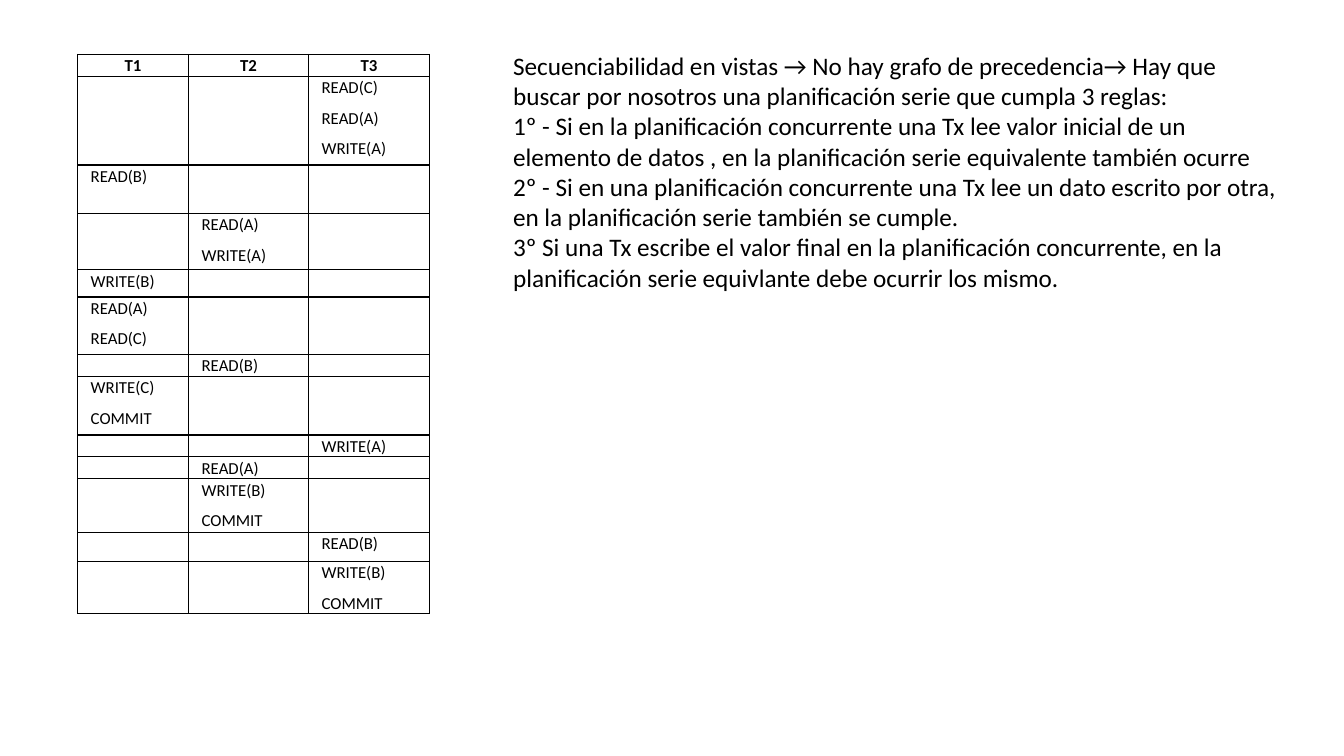
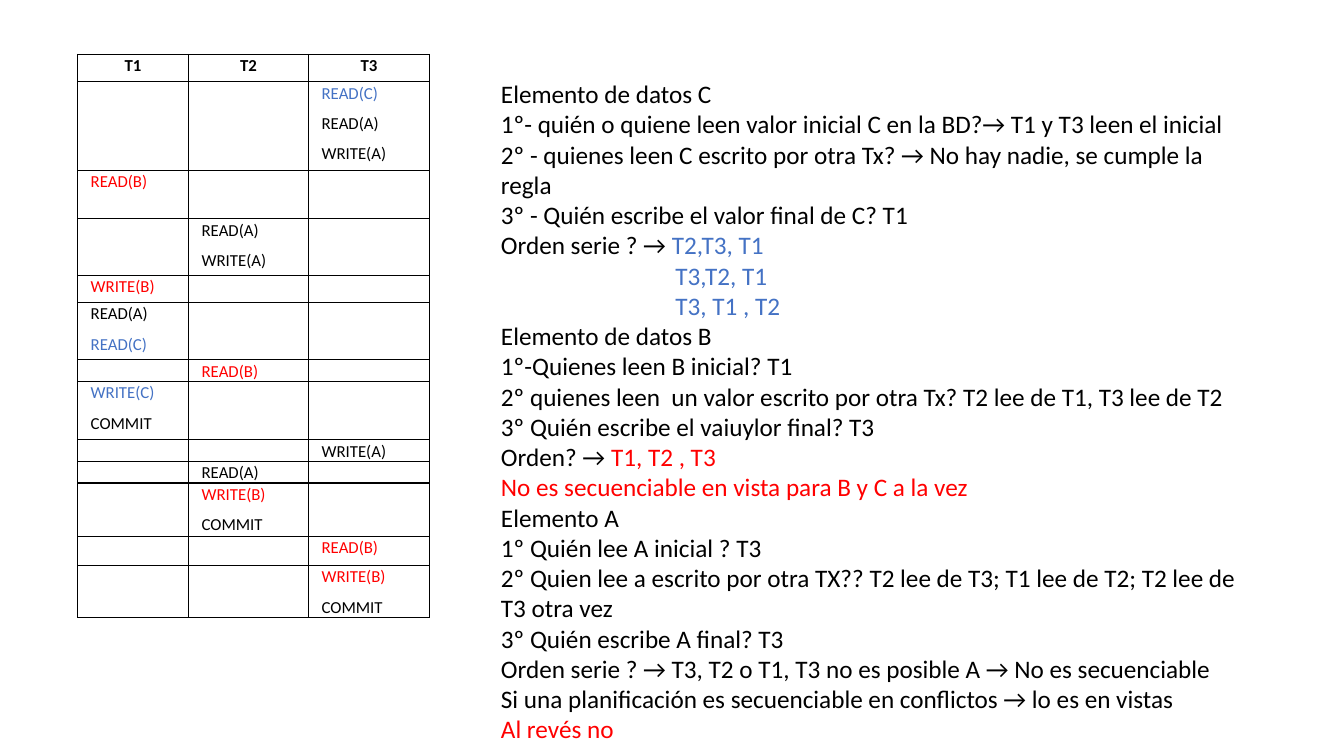
import pptx
import pptx.util
import pptx.dml.color
import pptx.enum.text
import pptx.oxml.ns
import lxml.etree

PX = 9144
FONT = "Calibri"
HUES = {"ink": "000000", "blue": "4472C4", "red": "FF0000"}
MARKS = {"(B)": "red", "(C)": "blue"}
ALIGN = pptx.enum.text.PP_ALIGN

HEADS = ["T1", "T2", "T3"]
COLS = [110, 119, 120]
STEPS = [
    ("T3", ["READ(C)", "READ(A)", "WRITE(A)"], 88),
    ("T1", ["READ(B)"], 48),
    ("T2", ["READ(A)", "WRITE(A)"], 56),
    ("T1", ["WRITE(B)"], 27),
    ("T1", ["READ(A)", "READ(C)"], 57),
    ("T2", ["READ(B)"], 20),
    ("T1", ["WRITE(C)", "COMMIT"], 58),
    ("T3", ["WRITE(A)"], 20),
    ("T2", ["READ(A)"], 20),
    ("T2", ["WRITE(B)", "COMMIT"], 53),
    ("T3", ["READ(B)"], 29),
    ("T3", ["WRITE(B)", "COMMIT"], 49),
]

RULES = [
    [("Secuenciabilidad en vistas → No hay grafo de precedencia→ Hay que buscar por nosotros una planificación serie que cumpla 3 reglas:", "ink")],
    [("1º - Si en la planificación concurrente una Tx lee valor inicial de un elemento de datos , en la planificación serie equivalente también ocurre", "ink")],
    [("2º - Si en una planificación concurrente una Tx lee un dato escrito por otra, en la planificación serie también se cumple.", "ink")],
    [("3º Si una Tx escribe el valor final en la planificación concurrente, en la planificación serie equivlante debe ocurrir los mismo.", "ink")],
]
CHECKS = [
    [("Elemento de datos C", "ink")],
    [("1º- quién o quiene leen valor inicial C en la BD?→ T1 y T3 leen el inicial", "ink")],
    [("2º - quienes leen C escrito por otra Tx? → No hay nadie, se cumple la regla", "ink")],
    [("3º - Quién escribe el valor final de C? T1", "ink")],
    [("Orden serie ? → ", "ink"), ("T2,T3, T1", "blue")],
    [("T3,T2, T1", "blue")],
    [("T3, T1 , T2", "blue")],
    [("Elemento de datos B", "ink")],
    [("1º-Quienes leen B inicial? T1", "ink")],
    [("2º quienes leen  un valor escrito por otra Tx? T2 lee de T1, T3 lee de T2", "ink")],
    [("3º Quién escribe el vaiuylor final? T3", "ink")],
    [("Orden? → ", "ink"), ("T1, T2 , T3", "red")],
    [("No es secuenciable en vista para B y C a la vez", "red")],
    [("Elemento A", "ink")],
    [("1º Quién lee A inicial ? T3", "ink")],
    [("2º Quien lee a escrito por otra TX?? T2 lee de T3; T1 lee de T2; T2 lee de T3 otra vez", "ink")],
    [("3º Quién escribe A final? T3", "ink")],
    [("Orden serie ? → T3, T2 o T1, T3 no es posible A → No es secuenciable", "ink")],
    [("Si una planificación es secuenciable en conflictos → lo es en vistas", "ink")],
    [("Al revés no", "red")],
]
SLIDES = [
    {"head": 20, "marks": {}, "lines": RULES, "box": (499, 45, 789, 283)},
    {"head": 27, "marks": MARKS, "lines": CHECKS, "box": (487, 73, 769, 667)},
]
INDENT = 173


def write(frame, lines, size=18, bold=False, align=None, space=None, lead=None):
    for num, line in enumerate(lines):
        para = frame.add_paragraph() if num else frame.paragraphs[0]
        para.alignment = align
        para.line_spacing = lead
        if space is not None:
            para.space_before = para.space_after = pptx.util.Pt(space)
        if line[0][1] == "blue" and size == 18:
            para._p.get_or_add_pPr().set("marL", str(INDENT * PX))
        for text, hue in line:
            run = para.add_run()
            run.text = text
            run.font.name = FONT
            run.font.size = pptx.util.Pt(size)
            run.font.bold = bold
            run.font.color.rgb = pptx.dml.color.RGBColor.from_string(HUES[hue])


def border(cell):
    props = cell._tc.get_or_add_tcPr()
    name = pptx.oxml.ns.qn
    for side in ("a:lnL", "a:lnR", "a:lnT", "a:lnB"):
        edge = lxml.etree.SubElement(props, name(side), w="12700")
        fill = lxml.etree.SubElement(edge, name("a:solidFill"))
        lxml.etree.SubElement(fill, name("a:srgbClr"), val=HUES["ink"])


def fill_cell(cell, lines, **form):
    border(cell)
    cell.fill.background()
    cell.margin_left = cell.margin_right = 13 * PX
    cell.margin_top = cell.margin_bottom = 0
    if lines:
        write(cell.text_frame, lines, size=12, space=3, lead=1.07, **form)
    else:
        para = cell.text_frame.paragraphs[0]
        para._p.get_or_add_endParaRPr().set("sz", "1200")


def add_plan(slide, head, marks):
    highs = [head] + [step[2] for step in STEPS]
    grid = slide.shapes.add_table(
        len(highs), len(COLS), 77 * PX, 54 * PX, sum(COLS) * PX, sum(highs) * PX
    ).table
    grid.first_row = grid.horz_banding = False
    for col, wide in zip(grid.columns, COLS):
        col.width = wide * PX
    for row, high in zip(grid.rows, highs):
        row.height = high * PX
    for col, name in enumerate(HEADS):
        fill_cell(grid.cell(0, col), [[(name, "ink")]], bold=True, align=ALIGN.CENTER)
        for row, (owner, acts, high) in enumerate(STEPS, 1):
            lines = [[(act, marks.get(act[-3:], "ink"))] for act in acts]
            fill_cell(grid.cell(row, col), lines if owner == name else [], align=ALIGN.JUSTIFY)


def main():
    deck = pptx.Presentation()
    deck.slide_width, deck.slide_height = 1333 * PX, 750 * PX
    for page in SLIDES:
        slide = deck.slides.add_slide(deck.slide_layouts[6])
        add_plan(slide, page["head"], page["marks"])
        box = slide.shapes.add_textbox(*(side * PX for side in page["box"]))
        box.text_frame.word_wrap = True
        write(box.text_frame, page["lines"])
    deck.save("out.pptx")


if __name__ == "__main__":
    main()
